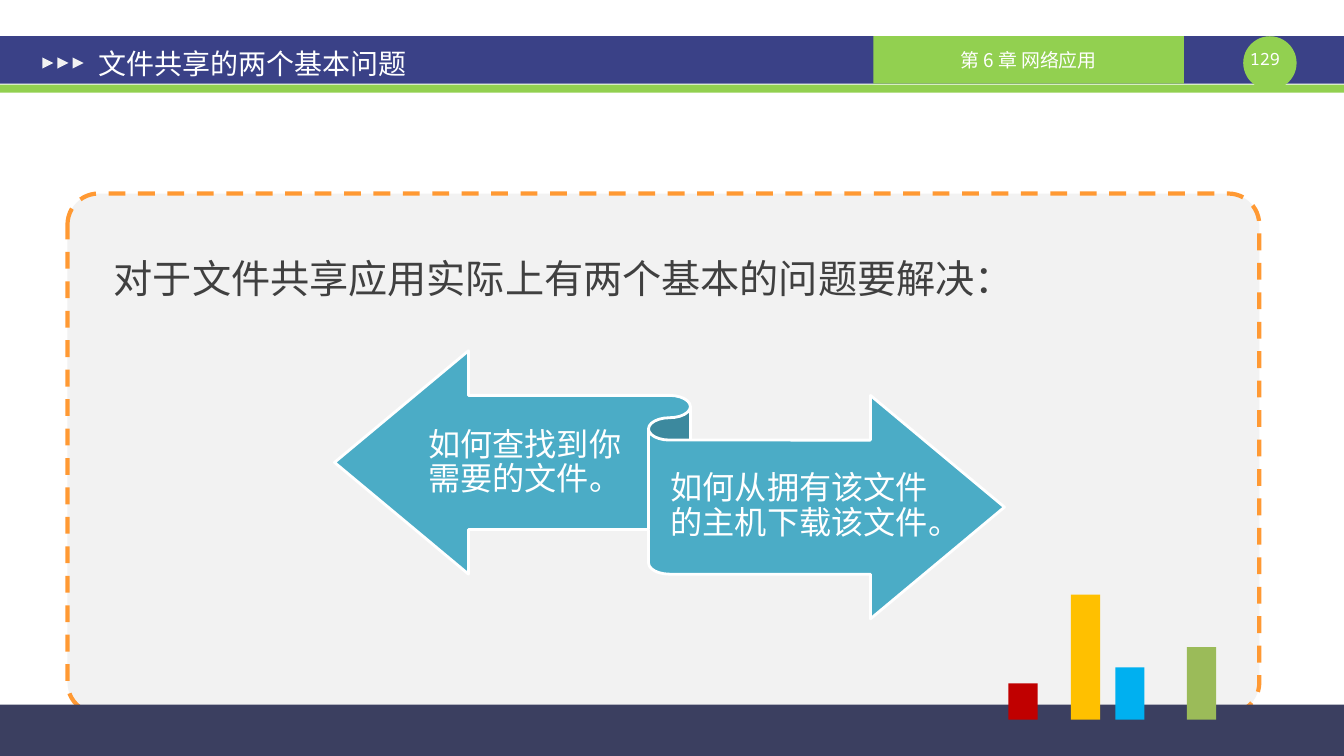
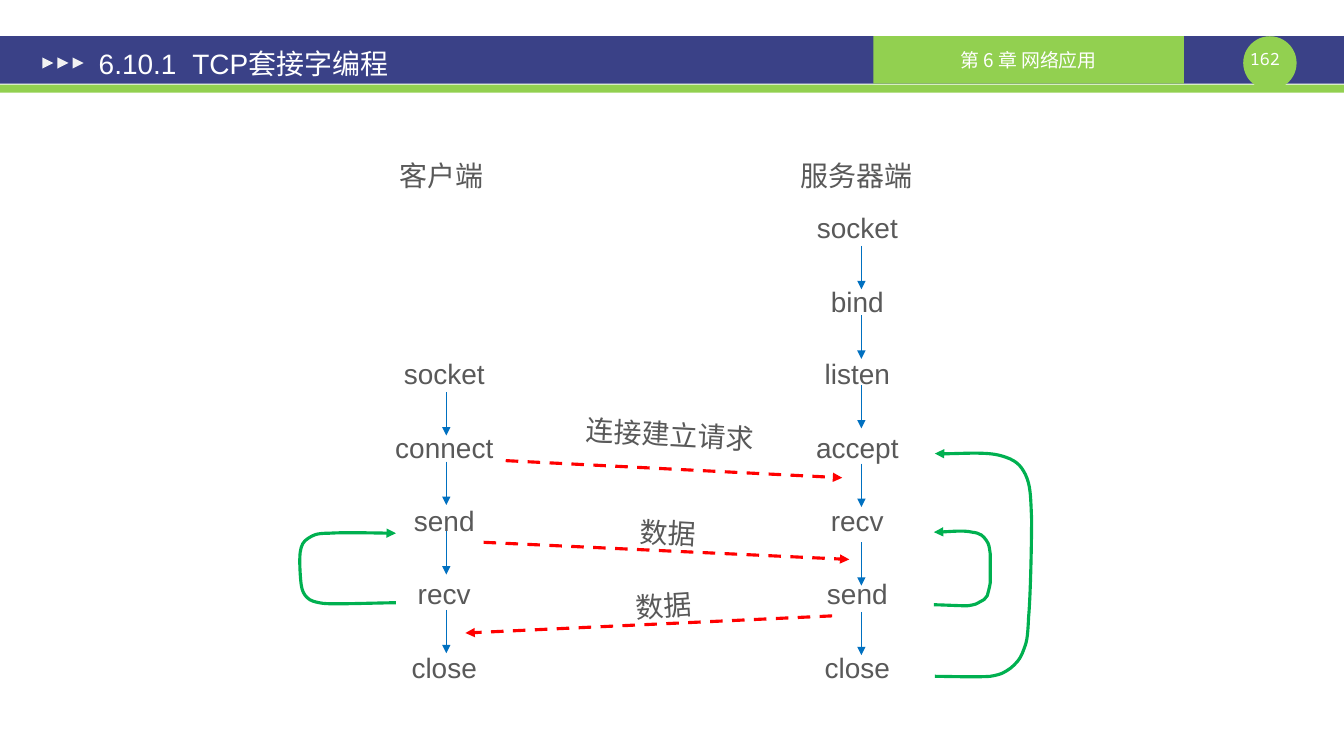
from dataclasses import dataclass

from lxml.etree import SubElement
from pptx import Presentation
from pptx.dml.color import RGBColor
from pptx.enum.dml import MSO_LINE_DASH_STYLE as DASH
from pptx.enum.shapes import MSO_CONNECTOR as CONNECTOR, MSO_SHAPE as SHAPE
from pptx.enum.text import MSO_ANCHOR as ANCHOR, MSO_AUTO_SIZE as AUTO, PP_ALIGN as ALIGN
from pptx.oxml.ns import qn
from pptx.util import Pt

PX = 9144
WIDTH, HEIGHT = 1334, 750


@dataclass(frozen=True)
class Theme:
    """Colours, fonts and type sizes shared by all slides."""
    navy: str = "3A4187"
    lime: str = "92D050"
    white: str = "FFFFFF"
    pale: str = "F2F2F2"
    orange: str = "FF9933"
    slate: str = "3B3F60"
    teal: str = "4BACC6"
    body: str = "404040"
    label: str = "595959"
    step: str = "0070C0"
    loop: str = "00B050"
    message: str = "FF0000"
    bars: tuple = ("C00000", "FFC000", "00B0F0", "9BBB59")
    latin: str = "Arial"
    cjk: str = "Noto Sans CJK SC"
    mono: str = "Noto Sans Mono"
    title_size: float = 20
    body_size: float = 28
    ribbon_size: float = 23
    chapter_size: float = 13.5
    number_size: float = 12


T = Theme()
LABEL_WIDTHS = {"socket": 101, "bind": 73, "listen": 86, "accept": 103, "connect": 118,
                "recv": 73, "send": 81, "close": 86}


def assign(obj, values):
    """Set each attribute named in a dict."""
    for name, value in values.items():
        setattr(obj, name, value)


def emu(*lengths):
    """Turn px lengths into EMU."""
    return [round(n * PX) for n in lengths]


def style_line(sp, color, width, dash=None, arrow=False):
    """Colour an outline and optionally dash it or end it in an arrowhead."""
    sp.line.color.rgb = RGBColor.from_string(color)
    assign(sp.line, {"width": Pt(width), "dash_style": dash})
    if arrow:
        ln = sp.element.find(".//" + qn("a:ln"))
        SubElement(ln, qn("a:tailEnd")).set("type", "triangle")


def add_block(slide, kind, box, fill):
    """Add a flat preset shape without outline."""
    sp = slide.shapes.add_shape(kind, *emu(*box))
    sp.shadow.inherit = False
    sp.fill.solid()
    sp.fill.fore_color.rgb = RGBColor.from_string(fill)
    sp.line.fill.background()
    return sp


def write(sp, text, size, color, font=T.latin, frame=None, para=None):
    """Write one formatted paragraph into a shape."""
    tf = sp.text_frame
    assign(tf, {"word_wrap": True, **(frame or {})})
    p = tf.paragraphs[0]
    assign(p, para or {})
    r = p.add_run()
    r.text = text
    assign(r.font, {"size": Pt(size), "name": font})
    r.font.color.rgb = RGBColor.from_string(color)
    SubElement(r.font._element, qn("a:ea")).set("typeface", T.cjk)
    return p


def add_text(slide, box, *args, **formats):
    """Add a text box holding one paragraph."""
    sp = slide.shapes.add_textbox(*emu(*box))
    return write(sp, *args, **formats)


def margins(left, top, right, bottom):
    """Return the text frame margins as format values."""
    sides = ("margin_left", "margin_top", "margin_right", "margin_bottom")
    return dict(zip(sides, emu(left, top, right, bottom)))


def add_label(slide, text, center, top, width, rotation=0):
    """Add a centred, unwrapped diagram label."""
    sp = slide.shapes.add_textbox(*emu(center - width / 2, top, width, 44))
    sp.rotation = rotation
    write(sp, text, T.title_size, T.label, para={"alignment": ALIGN.CENTER},
          frame={"word_wrap": False, "auto_size": AUTO.SHAPE_TO_FIT_TEXT})


def add_arrow(slide, start, end, color, width, dash=None):
    """Add a straight arrow."""
    c = slide.shapes.add_connector(CONNECTOR.STRAIGHT, *emu(*start, *end))
    style_line(c, color, width, dash, arrow=True)
    SubElement(c.element.spPr, qn("a:effectLst"))


def add_loop(slide, points):
    """Add a curved arrow from a start point and triples of Bezier points."""
    builder = slide.shapes.build_freeform(*points[0], scale=PX)
    builder.add_line_segments(points[1:], close=False)
    sp = builder.convert_to_shape()
    sp.shadow.inherit = False
    sp.fill.background()
    style_line(sp, T.loop, 2.25, arrow=True)
    outline = sp.element.find(".//" + qn("a:path"))
    segments = outline.findall(qn("a:lnTo"))
    for i in range(0, len(segments), 3):
        curve = SubElement(outline, qn("a:cubicBezTo"))
        for segment in segments[i:i + 3]:
            curve.append(segment[0])
            outline.remove(segment)


def add_slide(prs, title, number):
    """Add a blank slide with the shared header."""
    slide = prs.slides.add_slide(prs.slide_layouts[6])
    add_block(slide, SHAPE.RECTANGLE, (0, 36, WIDTH, 47), T.navy)
    add_block(slide, SHAPE.RECTANGLE, (0, 84, WIDTH, 8), T.lime)
    add_block(slide, SHAPE.OVAL, (1234, 36, 53, 53), T.lime)
    add_text(slide, (1234, 48, 53, 20), f"{number} ", T.number_size, T.white, font=T.mono,
             frame=margins(0, 0, 0, 0), para={"alignment": ALIGN.CENTER})
    chapter = add_block(slide, SHAPE.RECTANGLE, (867, 36, 308, 47), T.lime)
    write(chapter, "第 6 章 网络应用", T.chapter_size, T.white, font=T.cjk,
          frame={"vertical_anchor": ANCHOR.MIDDLE}, para={"alignment": ALIGN.CENTER})
    for i in range(3):
        add_block(slide, SHAPE.ISOSCELES_TRIANGLE, (42 + 15 * i, 57, 11, 11), T.pale).rotation = 90
    p = add_text(slide, (85, 39, 583, 47), title, T.title_size, T.white,
                 frame={"vertical_anchor": ANCHOR.MIDDLE, **margins(13, 7, 13, 7)})
    if "\t" in title:
        tabs = SubElement(p._p.get_or_add_pPr(), qn("a:tabLst"))
        tab = SubElement(tabs, qn("a:tab"))
        tab.set("pos", str(93 * PX))
        tab.set("algn", "l")
    return slide


def build_questions(prs):
    """Build the slide on the two questions of file sharing."""
    slide = add_slide(prs, "文件共享的两个基本问题", 129)
    panel = add_block(slide, SHAPE.ROUNDED_RECTANGLE, (67, 192, 1183, 516), T.pale)
    panel.adjustments[0] = 0.06
    style_line(panel, T.orange, 3, DASH.DASH)
    add_block(slide, SHAPE.RECTANGLE, (0, 699, WIDTH, HEIGHT - 699), T.slate)
    for color, left, height in zip(T.bars, (1001, 1063, 1107, 1178), (36, 124, 52, 72)):
        add_block(slide, SHAPE.RECTANGLE, (left, 714 - height, 29, height), color)
    add_text(slide, (100, 222, 1167, 161), "对于文件共享应用实际上有两个基本的问题要解决：",
             T.body_size, T.body, frame=margins(13, 7, 13, 7),
             para={"line_spacing": 1.5, "space_before": Pt(6)})
    ribbon = add_block(slide, SHAPE.LEFT_RIGHT_RIBBON, (332, 348, 665, 266), T.teal)
    style_line(ribbon, T.white, 2)
    for text, box in (("如何查找到你需要的文件。", (411, 395, 220, 130)),
                      ("如何从拥有该文件的主机下载该文件。", (664, 438, 259, 130))):
        add_text(slide, box, text, T.ribbon_size, T.white,
                 frame={"vertical_anchor": ANCHOR.MIDDLE, **margins(0, 9, 0, 10)},
                 para={"alignment": ALIGN.CENTER, "line_spacing": 0.9})


def add_column(slide, calls, center, first_row, arrow_x, arrow_tops):
    """Add a column of socket calls on the row grid with its step arrows."""
    for row, call in enumerate(calls, first_row):
        add_label(slide, call, center, round(204 + 72.67 * row), LABEL_WIDTHS[call])
    for top in arrow_tops:
        add_arrow(slide, (arrow_x, top), (arrow_x, top + 43), T.step, 0.75)


def build_sockets(prs):
    """Build the slide on TCP socket programming."""
    slide = add_slide(prs, "6.10.1\tTCP套接字编程", 162)
    add_label(slide, "客户端", 438, 152, 104)
    add_label(slide, "服务器端", 850, 152, 132)
    add_column(slide, ("socket", "connect", "send", "recv", "close"), 441, 2, 443,
               (389, 458, 527, 605))
    add_column(slide, ("socket", "bind", "listen", "accept", "recv", "send", "close"), 851, 0, 855,
               (244, 313, 382, 460, 538, 607))
    loops = (
        ((393, 598), (384, 598), (350, 599), (338, 599), (325, 599), (322, 599), (317, 598),
         (312, 597), (308, 596), (305, 593), (302, 590), (300, 587), (299, 580),
         (298, 572), (297, 556), (298, 548), (299, 541), (301, 537), (306, 534),
         (311, 531), (313, 529), (327, 529), (342, 528), (379, 529), (393, 529)),
        ((927, 600), (933, 600), (952, 601), (960, 601), (968, 600), (970, 599), (973, 597),
         (976, 596), (978, 594), (980, 591), (981, 587), (982, 584), (983, 578),
         (983, 571), (983, 557), (983, 550), (982, 543), (982, 540), (979, 536),
         (976, 532), (974, 529), (965, 528), (957, 526), (935, 528), (927, 528)),
        ((928, 671), (937, 671), (971, 672), (983, 671), (995, 669), (997, 667), (1003, 663),
         (1008, 659), (1013, 654), (1016, 645), (1019, 637), (1020, 635), (1021, 613),
         (1023, 591), (1024, 538), (1024, 515), (1023, 491), (1023, 482), (1018, 471),
         (1013, 461), (1008, 456), (993, 452), (979, 448), (942, 451), (928, 450)),
    )
    for points in loops:
        add_loop(slide, points)
    messages = (
        ("连接建立请求", (502, 457), (836, 474), (665, 409, 188, 3.1)),
        ("数据", (480, 538), (843, 555), (663, 507, 76, 3.1)),
        ("数据", (826, 611), (462, 628), (659, 579, 76, 356.2)),
    )
    for text, start, end, place in messages:
        add_arrow(slide, start, end, T.message, 2.25, DASH.DASH)
        add_label(slide, text, *place)


def main():
    """Build and save the presentation."""
    prs = Presentation()
    prs.slide_width, prs.slide_height = emu(WIDTH, HEIGHT)
    build_questions(prs)
    build_sockets(prs)
    prs.save("out.pptx")


if __name__ == "__main__":
    main()
